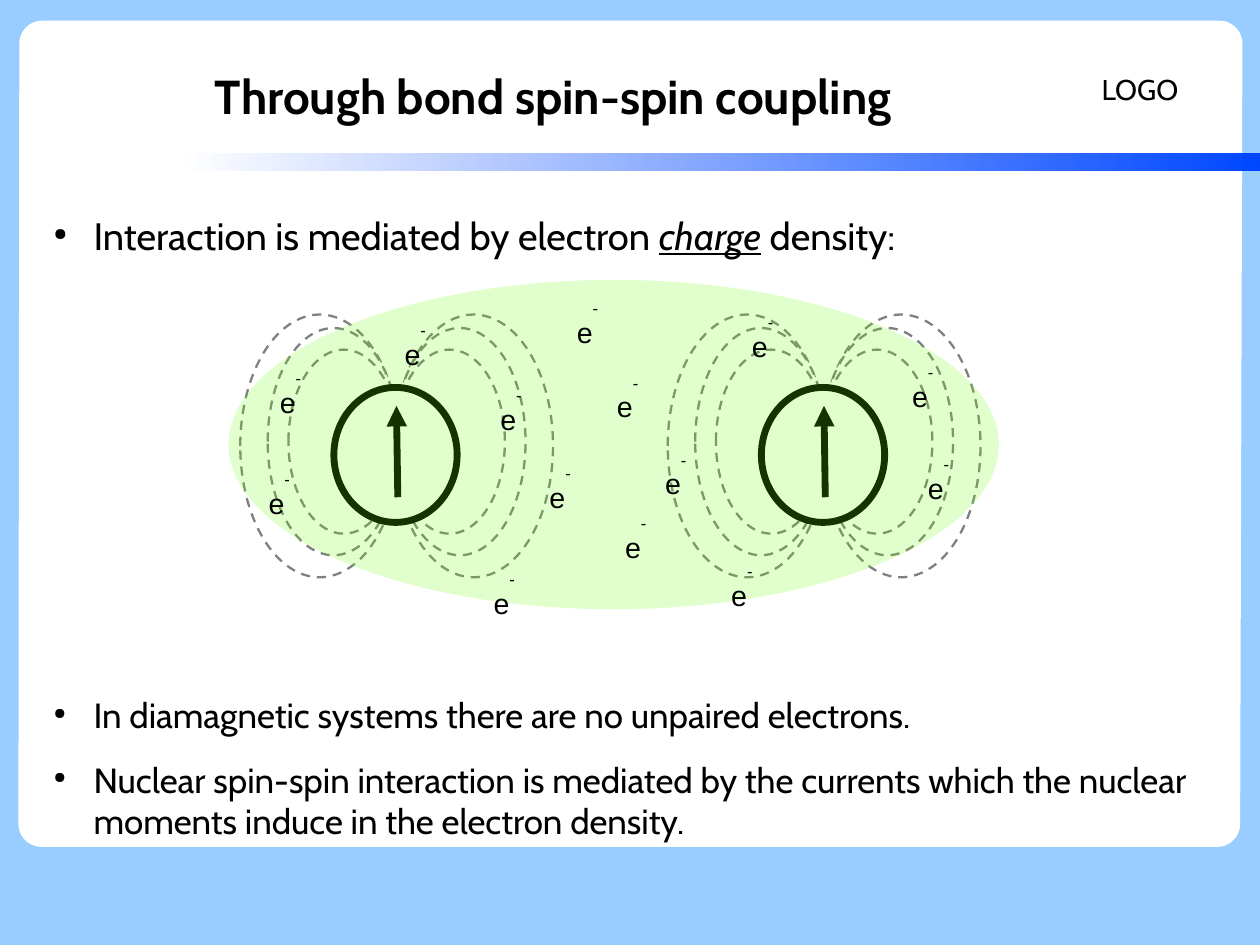
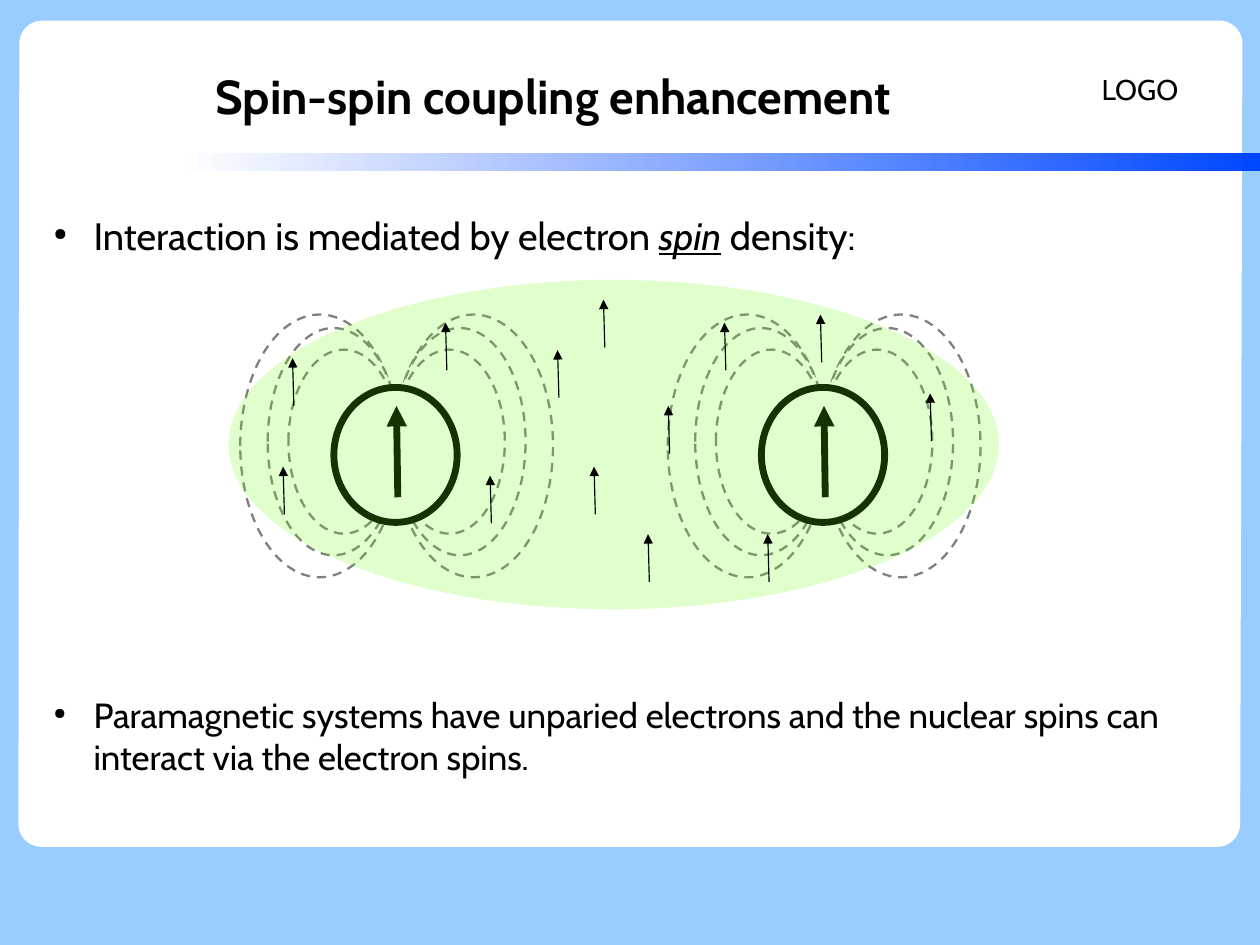
from dataclasses import dataclass
from math import cos, radians, sin

from lxml.etree import SubElement
from pptx import Presentation
from pptx.dml.color import RGBColor
from pptx.enum.dml import MSO_LINE
from pptx.enum.shapes import MSO_CONNECTOR, MSO_SHAPE
from pptx.enum.text import MSO_ANCHOR, PP_ALIGN
from pptx.oxml.ns import qn
from pptx.util import Cm, Pt

BLACK = "000000"
WHITE = "FFFFFF"
GREY = "808080"
SKY = "99CCFF"
BLUE = "0047FF"
GREEN = "66FF00"

NUCLEUS_STEP = 9.5
LOOP_SIZES = [(3.53, 5.84, 6.99), (2.92, 5.05, 7.29), (2.46, 4.09, 7.77)]
PANEL_CORNERS = [(0.43, 0.46, 1, 1), (27.61, 0.46, -1, 1),
                 (27.56, 18.82, -1, -1), (0.41, 18.82, 1, -1)]
PANEL_RADIUS = 0.51

ELECTRONS = [(10.72, 12.52), (12.57, 6.5), (16, 12.34), (5.72, 10.29), (16.46, 6.81),
             (8.74, 6.99), (13.64, 11.28), (20.37, 9.96), (11.96, 10.16), (13.46, 8.15),
             (10.87, 8.43), (5.97, 8.05), (20.02, 7.92), (14.53, 9.86)]
SPINS = [(9.93, 8.23), (12.42, 8.84), (13.23, 11.43), (10.92, 11.63), (13.44, 7.72),
         (16.13, 8.23), (6.53, 9.02), (6.32, 11.43), (14.43, 12.93), (14.88, 10.08),
         (18.26, 8.05), (20.7, 9.8), (17.09, 12.93)]

SLIDES = [
    ("Through bond spin-spin coupling", "charge", ELECTRONS, [],
     ["In diamagnetic systems there are no unpaired electrons.",
      "Nuclear spin-spin interaction is mediated by the currents which the nuclear "
      "moments induce in the electron density."]),
    ("Spin-spin coupling enhancement", "spin", [], SPINS,
     ["Paramagnetic systems have unparied electrons and the nuclear spins can "
      "interact via the electron spins."]),
]


@dataclass
class Label:
    box: tuple
    paragraphs: list
    size: float = 18
    font: str = "Cabin"
    inset: tuple = (0, 0)
    anchor: MSO_ANCHOR = MSO_ANCHOR.TOP
    align: PP_ALIGN = PP_ALIGN.LEFT
    bullet: bool = False


def paint(fill, color):
    fill.solid()
    fill.fore_color.rgb = RGBColor.from_string(color)


def add_arrow(slide, start, rise, width):
    left, bottom = start
    arrow = slide.shapes.add_connector(
        MSO_CONNECTOR.STRAIGHT, Cm(left), Cm(bottom), Cm(left - 0.03), Cm(bottom - rise))
    paint(arrow.line.fill, BLACK)
    arrow.line.width = Pt(width)
    SubElement(arrow.line._get_or_add_ln(), qn("a:tailEnd"), type="triangle")
    SubElement(arrow._element.spPr, qn("a:effectLst"))


presentation = Presentation()
presentation.slide_width = Cm(28)
presentation.slide_height = Cm(21)
paint(presentation.slide_master.background.fill, SKY)

for title, density, electrons, spins, conclusions in SLIDES:
    slide = presentation.slides.add_slide(presentation.slide_layouts[6])

    outline = []
    for index, (x, y, inward_x, inward_y) in enumerate(PANEL_CORNERS):
        for step in range(13):
            angle = radians(180 + 90 * index + 7.5 * step)
            outline.append((Cm(x + PANEL_RADIUS * (inward_x + cos(angle))),
                            Cm(y + PANEL_RADIUS * (inward_y + sin(angle)))))
    builder = slide.shapes.build_freeform(*outline[0])
    builder.add_line_segments(outline[1:], close=True)
    panel = builder.convert_to_shape()
    panel.shadow.inherit = False
    paint(panel.fill, WHITE)
    panel.line.fill.background()

    band = slide.shapes.add_shape(MSO_SHAPE.RECTANGLE, Cm(3.99), Cm(3.4), Cm(24.01), Cm(0.41))
    band.shadow.inherit = False
    band.line.fill.background()
    band.fill.gradient()
    band.fill.gradient_angle = 0
    for stop, color in zip(band.fill.gradient_stops, (WHITE, BLUE)):
        stop.color.rgb = RGBColor.from_string(color)

    for offset in (0, NUCLEUS_STEP):
        ovals = [(8.87 - width, top, width, height, GREY, 1.45)
                 for width, height, top in LOOP_SIZES]
        ovals += [(8.76, top, width, height, GREY, 1.45)
                  for width, height, top in LOOP_SIZES]
        ovals.append((7.42, 8.61, 2.74, 3, BLACK, 4.31))
        for left, top, width, height, color, weight in ovals:
            oval = slide.shapes.add_shape(
                MSO_SHAPE.OVAL, Cm(left + offset), Cm(top), Cm(width), Cm(height))
            oval.shadow.inherit = False
            paint(oval.fill, WHITE)
            paint(oval.line.fill, color)
            oval.line.width = Pt(weight)
            if color == GREY:
                oval.line.dash_style = MSO_LINE.DASH
        add_arrow(slide, (8.84 + offset, 11.05), 2.03, 4.31)

    cloud = slide.shapes.add_shape(MSO_SHAPE.OVAL, Cm(5.08), Cm(6.22), Cm(17.12), Cm(7.32))
    cloud.shadow.inherit = False
    paint(cloud.fill, GREEN)
    cloud.line.fill.background()
    cloud_color = cloud._element.spPr.find(qn("a:solidFill")).find(qn("a:srgbClr"))
    SubElement(cloud_color, qn("a:alpha"), val="20000")

    for spin in spins:
        add_arrow(slide, spin, 1.06, 0.75)

    opening = [("Interaction is mediated by electron ", ""),
               (density, "emphasis"), (" density:", "")]
    labels = [
        Label((24.23, 0.79, 2.31, 2.39), [[("LOGO", "")]],
              inset=(0.25, 0.13), anchor=MSO_ANCHOR.MIDDLE),
        Label((1.4, 0.84, 21.79, 2.57), [[(title, "bold")]], size=30,
              anchor=MSO_ANCHOR.MIDDLE, align=PP_ALIGN.CENTER),
        Label((0.89, 4.72, 26.09, 1.2), [opening], size=24, bullet=True),
        Label((0.89, 15.42, 26.09, 3.3), [[(text, "")] for text in conclusions],
              size=22, bullet=True),
    ]
    labels += [Label((left, top, 1.42, 0.99), [[("e", ""), ("-", "superscript")]],
                     font="Arial", inset=(0.25, 0.13)) for left, top in electrons]

    for label in labels:
        text_box = slide.shapes.add_textbox(*(Cm(length) for length in label.box))
        frame = text_box.text_frame
        frame.word_wrap = True
        frame.vertical_anchor = label.anchor
        frame.margin_left = frame.margin_right = Cm(label.inset[0])
        frame.margin_top = frame.margin_bottom = Cm(label.inset[1])
        for index, runs in enumerate(label.paragraphs):
            paragraph = frame.add_paragraph() if index else frame.paragraphs[0]
            paragraph.alignment = label.align
            if label.bullet:
                paragraph.space_after = Pt(14.1)
                properties = paragraph._p.get_or_add_pPr()
                properties.set("marL", str(Cm(1.19)))
                properties.set("indent", str(Cm(-0.89)))
                bullet_color = SubElement(properties, qn("a:buClr"))
                SubElement(bullet_color, qn("a:srgbClr"), val=BLACK)
                SubElement(properties, qn("a:buSzPct"), val="45000")
                SubElement(properties, qn("a:buChar"), char="●")
            for text, style in runs:
                run = paragraph.add_run()
                run.text = text
                run.font.name = label.font
                run.font.size = Pt(label.size)
                paint(run.font.fill, BLACK)
                if style == "bold":
                    run.font.bold = True
                elif style == "emphasis":
                    run.font.italic = True
                    run.font.underline = True
                elif style == "superscript":
                    run._r.get_or_add_rPr().set("baseline", "101000")

presentation.save("out.pptx")
